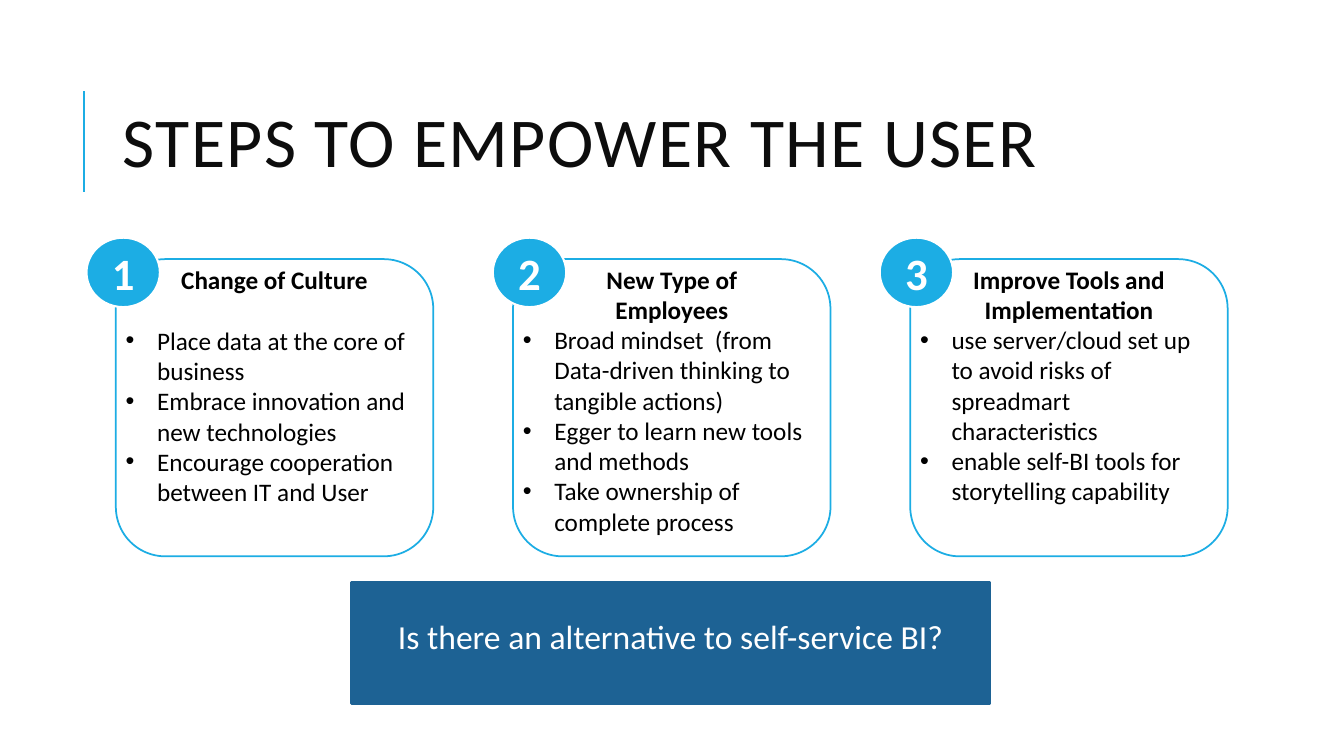
from pptx import Presentation
from pptx.dml.color import RGBColor
from pptx.enum.shapes import MSO_CONNECTOR, MSO_SHAPE
from pptx.enum.text import MSO_ANCHOR, PP_ALIGN
from pptx.oxml.ns import qn
from pptx.util import Cm, Pt
from lxml.etree import SubElement

FONT = "Calibri"
WHITE, BLACK, INK = "FFFFFF", "000000", "0D0D0D"
CYAN, BLUE = "1CADE4", "1D6294"

CARD_LEFT, CARD_TOP, CARD_W, CARD_H, CARD_PITCH = 2.92, 6.53, 8, 7.49, 10.01
BADGE_TOP, BADGE_W, BADGE_H = 5.99, 1.85, 1.75
BULLET_INDENT = 0.79
LINE_GAP = 22  # one 18 pt text line

# badge left, heading lines, space after heading, bullets
STEPS = [
    (2.18, ["Change of Culture"], LINE_GAP,
     ["Place data at the core of business",
      "Embrace innovation and new technologies",
      "Encourage cooperation between IT and User"]),
    (12.42, ["New Type of", "Employees"], 0,
     ["Broad mindset  (from Data-driven thinking to tangible actions)",
      "Egger to learn new tools and methods",
      "Take ownership of complete process"]),
    (22.17, ["Improve Tools and Implementation"], 0,
     ["use server/cloud set up to avoid risks of spreadmart characteristics",
      "enable self-BI tools for storytelling capability"]),
]


def rgb(hex_color):
    """Turn a hex string into a colour."""
    return RGBColor.from_string(hex_color)


def write(p, text, size, color, bold=False, align=PP_ALIGN.LEFT):
    """Fill a paragraph with text and format its runs."""
    p.text = text
    p.alignment = align
    for r in p.runs:
        r.font.name, r.font.size, r.font.bold = FONT, Pt(size), bold
        r.font.color.rgb = rgb(color)


def add_bullet(p):
    """Give a paragraph a hanging round bullet."""
    pPr = p._p.get_or_add_pPr()
    pPr.set("marL", str(Cm(BULLET_INDENT)))
    pPr.set("indent", str(-Cm(BULLET_INDENT)))
    SubElement(pPr, qn("a:buFont")).set("typeface", "Arial")
    SubElement(pPr, qn("a:buChar")).set("char", "•")


def add_box(s, kind, left, top, width, height, fill, line, weight):
    """Add a flat filled and outlined shape."""
    sp = s.shapes.add_shape(kind, Cm(left), Cm(top), Cm(width), Cm(height))
    sp.shadow.inherit = False
    sp.fill.solid()
    sp.fill.fore_color.rgb = rgb(fill)
    sp.line.color.rgb = rgb(line)
    sp.line.width = Pt(weight)
    sp.text_frame.vertical_anchor = MSO_ANCHOR.MIDDLE
    return sp


def add_text(s, left, top, width, height):
    """Add a wrapping text box and return its text frame."""
    tf = s.shapes.add_textbox(Cm(left), Cm(top), Cm(width), Cm(height)).text_frame
    tf.word_wrap = True
    return tf


def add_title(s, text):
    """Add the slide title with the vertical rule beside it."""
    rule = s.shapes.add_connector(MSO_CONNECTOR.STRAIGHT,
                                  Cm(2.12), Cm(4.83), Cm(2.12), Cm(2.29))
    rule.line.color.rgb = rgb(CYAN)
    rule.line.width = Pt(1.5)
    SubElement(rule._element.spPr, qn("a:effectLst"))
    tf = add_text(s, 2.84, 1.63, 27, 4.17)
    tf.vertical_anchor = MSO_ANCHOR.MIDDLE
    p = tf.paragraphs[0]
    write(p, text, 50, INK)
    p.line_spacing = 0.8
    p.runs[0].font._element.set("spc", "100")


def add_step_text(s, left, heading, gap, bullets):
    """Add the heading and bullet list of one step."""
    tf = add_text(s, left, CARD_TOP, CARD_W, CARD_H)
    p = tf.paragraphs[0]
    for i, text in enumerate(heading):
        p = tf.add_paragraph() if i else p
        write(p, text, 18, BLACK, True, PP_ALIGN.CENTER)
    p.space_after = Pt(gap)
    for text in bullets:
        p = tf.add_paragraph()
        write(p, text, 18, BLACK)
        add_bullet(p)


def add_badge(s, left, number):
    """Add the numbered circle of one step."""
    sp = add_box(s, MSO_SHAPE.OVAL, left, BADGE_TOP, BADGE_W, BADGE_H,
                 CYAN, WHITE, 1.5)
    write(sp.text_frame.paragraphs[0], str(number), 32, WHITE, True, PP_ALIGN.CENTER)


def add_question(s, text):
    """Add the closing question banner."""
    sp = add_box(s, MSO_SHAPE.RECTANGLE, 8.86, 14.68, 16.08, 3.05, BLUE, BLUE, 1.5)
    p = sp.text_frame.paragraphs[0]
    write(p, text, 24, WHITE, align=PP_ALIGN.CENTER)
    p.line_spacing = 0.5
    p.space_before = Pt(10)


def main():
    """Build and save the slide."""
    prs = Presentation()
    prs.slide_width, prs.slide_height = Cm(33.87), Cm(19.05)
    s = prs.slides.add_slide(prs.slide_layouts[6])
    add_title(s, "STEPS TO EMPOWER THE USER")
    for i, (badge_left, heading, gap, bullets) in enumerate(STEPS):
        left = CARD_LEFT + i * CARD_PITCH
        add_box(s, MSO_SHAPE.ROUNDED_RECTANGLE, left, CARD_TOP, CARD_W, CARD_H,
                WHITE, CYAN, 1.25)
        add_step_text(s, left, heading, gap, bullets)
        add_badge(s, badge_left, i + 1)
    add_question(s, "Is there an alternative to self-service BI?")
    prs.save("out.pptx")


main()
